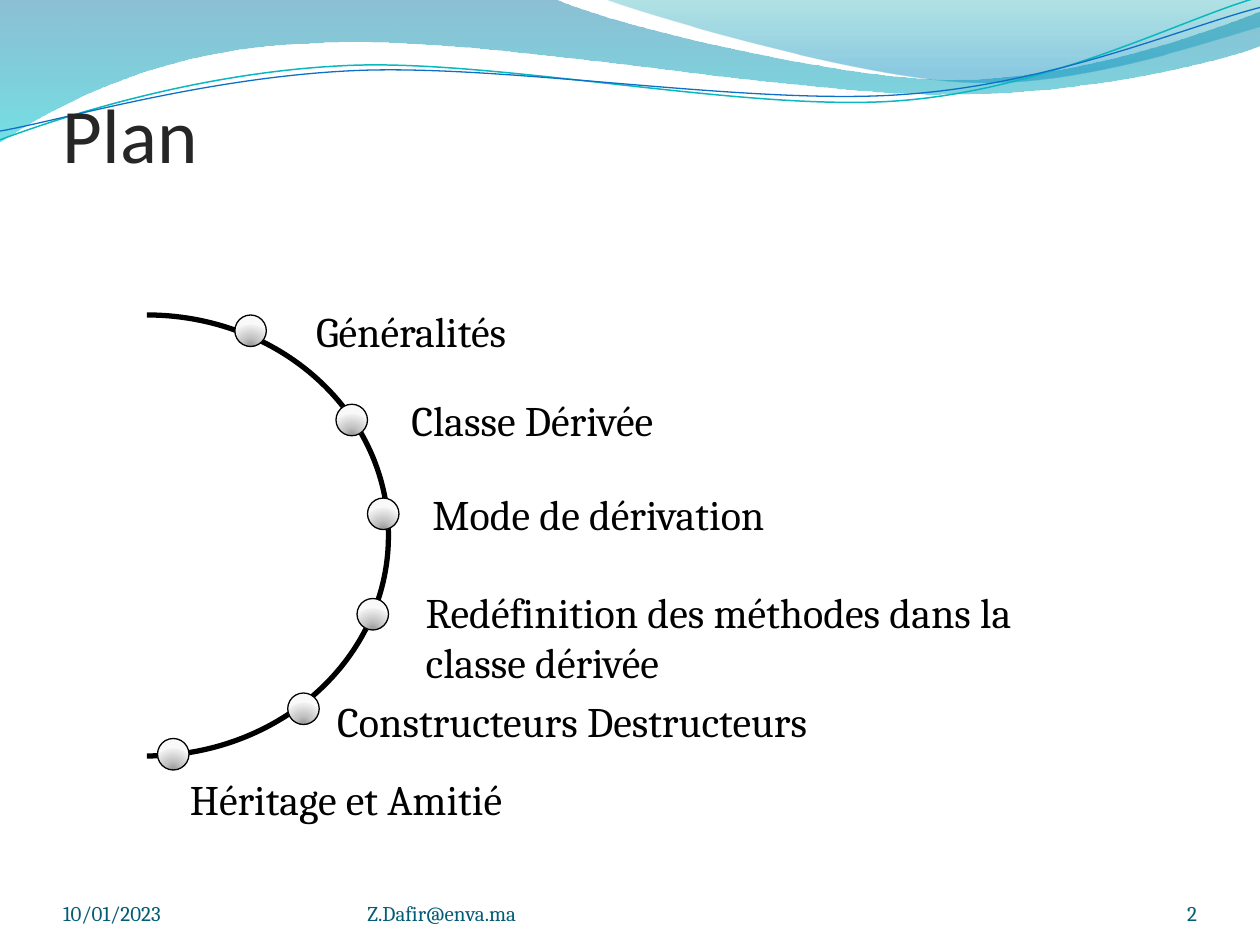
import math
from dataclasses import dataclass
from typing import Optional

import pptx
import pptx.dml.color
import pptx.enum.shapes
import pptx.enum.text
import pptx.oxml
import pptx.oxml.ns
import pptx.util

Pt = pptx.util.Pt
RGBColor = pptx.dml.color.RGBColor
SHAPE = pptx.enum.shapes.MSO_SHAPE
ANCHOR = pptx.enum.text.MSO_ANCHOR
ALIGN = pptx.enum.text.PP_ALIGN
qn = pptx.oxml.ns.qn

BLACK = RGBColor(0x00, 0x00, 0x00)
TITLE = RGBColor(0x26, 0x26, 0x26)
FOOTER = RGBColor(0x04, 0x5D, 0x75)
TEAL = RGBColor(0x0A, 0xB8, 0xBF)
BLUE = RGBColor(0x0F, 0x6F, 0xC6)
DEEP_BLUE = RGBColor(0x00, 0x74, 0xA1)
CYAN = RGBColor(0x00, 0xC6, 0xCF)
SEA = RGBColor(0x00, 0xA1, 0xA9)
SKY = RGBColor(0x00, 0x8B, 0xBF)
GREYS = [RGBColor(g, g, g) for g in (0x97, 0xC6, 0xEE, 0xF9)]

A_NS = 'xmlns:a="http://schemas.openxmlformats.org/drawingml/2006/main"'
DOWNWARD = '<a:lin ang="5400000" scaled="0"/>'
FROM_BELOW = ('<a:path path="circle"><a:fillToRect l="50000" t="130000" '
              'r="50000" b="-30000"/></a:path>')
DOT = 18
TILT = -2.7


@dataclass
class Stop:
    pos: int
    color: RGBColor
    opacity: int = 100


@dataclass
class Wave:
    start: tuple
    edges: list
    stops: Optional[list] = None
    line: Optional[RGBColor] = None
    weight: float = 0.75
    pivot: tuple = (0, 0)
    tilt: float = 0


@dataclass
class Label:
    text: str
    left: float
    top: float
    width: float
    height: float
    size: float = 24
    color: RGBColor = BLACK
    font: str = "Cambria"
    anchor: ANCHOR = ANCHOR.TOP
    align: ALIGN = ALIGN.LEFT
    insets: tuple = (7.2, 3.6, 7.2, 3.6)


@dataclass
class Topic:
    dot_left: float
    dot_top: float
    label: Label


def footer(text: str, left: float, width: float, align=ALIGN.LEFT) -> Label:
    return Label(text, left, 500.4, width, 28.8, 12, FOOTER,
                 anchor=ANCHOR.BOTTOM, align=align, insets=(0, 0, 0, 0))


WAVES = [
    Wave((0, -0.4), [
        ((316.8, -0.7),),
        ((342.5, 12.2), (478, 45.4), (545.8, 45.4)),
        ((614.2, 45.4), (689.8, 18.7), (720, 6.5)),
        ((720.7, 25.9),),
        ((707.8, 31.7), (626.4, 54.7), (537.1, 54)),
        ((447.8, 54), (275, 20.2), (185, 24.5)),
        ((92.9, 25.9), (33.1, 59.8), (-0.7, 81.4)),
        ((0, -0.4),),
    ], [Stop(0, DEEP_BLUE, 45), Stop(100, CYAN, 55)]),
    Wave((344.9, -0.7), [
        ((366.5, 7.9), (491, 44.6), (553.7, 46.8)),
        ((616.3, 49.7), (691.9, 23), (720, 15.1)),
        ((720, 0),),
        ((344.9, -0.7),),
    ], [Stop(0, SEA, 30), Stop(80, SKY, 45)]),
    Wave((0, 79.9), [
        ((34.6, 67), (113.8, 41), (199.4, 37.4)),
        ((284.4, 33.8), (427, 64.1), (513.4, 57.6)),
        ((599.8, 51.1), (675.4, 10.8), (718.6, -1.4)),
    ], line=TEAL, weight=0.85, pivot=(359.3, 41.4), tilt=TILT),
    Wave((0, 74.9), [
        ((33.8, 69.1), (118.1, 43.9), (203.8, 40.3)),
        ((290.2, 36.7), (429.8, 60.5), (516.2, 54)),
        ((601.9, 48.2), (677.5, 15.1), (720, 4.3)),
    ], line=BLUE, pivot=(359.6, 42.5), tilt=TILT),
]

HEADINGS = [
    Label("Plan", 36, 0, 648, 102.2, 44, TITLE, "Calibri", ANCHOR.BOTTOM,
          insets=(0, 3.6, 0, 0)),
    footer("10/01/2023", 36, 168),
    footer("Z.Dafir@enva.ma", 210, 264),
    footer("2", 624, 60, ALIGN.RIGHT),
]

TOPICS = [
    Topic(134.2, 180, Label("Généralités", 173.5, 171, 445.7, 36)),
    Topic(192, 231, Label("Classe Dérivée", 228, 222, 402, 36)),
    Topic(210, 284.6, Label("Mode de dérivation", 240, 275.4, 360, 36)),
    Topic(204, 342, Label("Redéfinition des méthodes dans la classe dérivée",
                          236.2, 331.6, 405, 65.5)),
    Topic(164.4, 396, Label("Constructeurs Destructeurs", 185.6, 393.8, 360, 36)),
    Topic(90, 422, Label("Héritage et Amitié", 101.4, 438.5, 360, 36)),
]


def set_gradient(sp, stops: list, direction: str) -> None:
    items = "".join(
        f'<a:gs pos="{s.pos * 1000}"><a:srgbClr val="{s.color}">'
        f'<a:alpha val="{s.opacity * 1000}"/></a:srgbClr></a:gs>' for s in stops)
    sp.fill.solid()
    spPr = sp.element.spPr
    spPr.replace(spPr.find(qn("a:solidFill")), pptx.oxml.parse_xml(
        f'<a:gradFill {A_NS} rotWithShape="1"><a:gsLst>{items}</a:gsLst>'
        f'{direction}</a:gradFill>'))


def set_line(sp, color: RGBColor, weight: float) -> None:
    sp.line.color.rgb = color
    sp.line.width = Pt(weight)


def untilted(point: tuple, wave: Wave) -> tuple:
    angle = math.radians(-wave.tilt)
    cx, cy = wave.pivot
    dx, dy = point[0] - cx, point[1] - cy
    return (Pt(cx + dx * math.cos(angle) - dy * math.sin(angle)),
            Pt(cy + dx * math.sin(angle) + dy * math.cos(angle)))


def bend_edges(sp, edges: list) -> None:
    segments = iter(list(sp.element.iter(qn("a:lnTo"))))
    for edge in edges:
        parts = [next(segments) for _ in edge]
        if len(parts) == 3:
            curve = pptx.oxml.parse_xml(f"<a:cubicBezTo {A_NS}/>")
            parts[0].addprevious(curve)
            for part in parts:
                curve.append(part[0])
                part.getparent().remove(part)


def draw_wave(s, wave: Wave) -> None:
    points = [untilted(point, wave) for edge in wave.edges for point in edge]
    fb = s.shapes.build_freeform(*untilted(wave.start, wave))
    fb.add_line_segments(points, close=wave.stops is not None)
    sp = fb.convert_to_shape()
    bend_edges(sp, wave.edges)
    sp.rotation = wave.tilt
    sp.shadow.inherit = False
    if wave.stops:
        set_gradient(sp, wave.stops, DOWNWARD)
        sp.line.fill.background()
    else:
        sp.fill.background()
        set_line(sp, wave.line, wave.weight)


def draw_label(s, label: Label) -> None:
    sp = s.shapes.add_textbox(Pt(label.left), Pt(label.top),
                              Pt(label.width), Pt(label.height))
    tf = sp.text_frame
    tf.word_wrap = True
    tf.vertical_anchor = label.anchor
    tf.margin_left, tf.margin_top, tf.margin_right, tf.margin_bottom = map(
        Pt, label.insets)
    p = tf.paragraphs[0]
    p.alignment = label.align
    r = p.add_run()
    r.text = label.text
    r.font.size = Pt(label.size)
    r.font.name = label.font
    r.font.color.rgb = label.color


def draw_arc(s) -> None:
    sp = s.shapes.add_shape(SHAPE.RIGHT_BRACKET, Pt(84), Pt(180), Pt(138), Pt(252))
    sp.adjustments[0] = 0.91
    sp.fill.background()
    set_line(sp, BLACK, 3)
    sp.shadow.inherit = False


def draw_topic(s, topic: Topic) -> None:
    sp = s.shapes.add_shape(SHAPE.OVAL, Pt(topic.dot_left), Pt(topic.dot_top),
                            Pt(DOT), Pt(DOT))
    set_gradient(sp, [Stop(*pair) for pair in zip((0, 43, 93, 100), GREYS)],
                 FROM_BELOW)
    set_line(sp, BLACK, 0.75)
    sp.shadow.inherit = False
    draw_label(s, topic.label)


def main() -> None:
    prs = pptx.Presentation()
    prs.slide_width, prs.slide_height = Pt(720), Pt(540)
    s = prs.slides.add_slide(prs.slide_layouts[6])
    for wave in WAVES:
        draw_wave(s, wave)
    for label in HEADINGS:
        draw_label(s, label)
    draw_arc(s)
    for topic in TOPICS:
        draw_topic(s, topic)
    prs.save("out.pptx")


if __name__ == "__main__":
    main()
